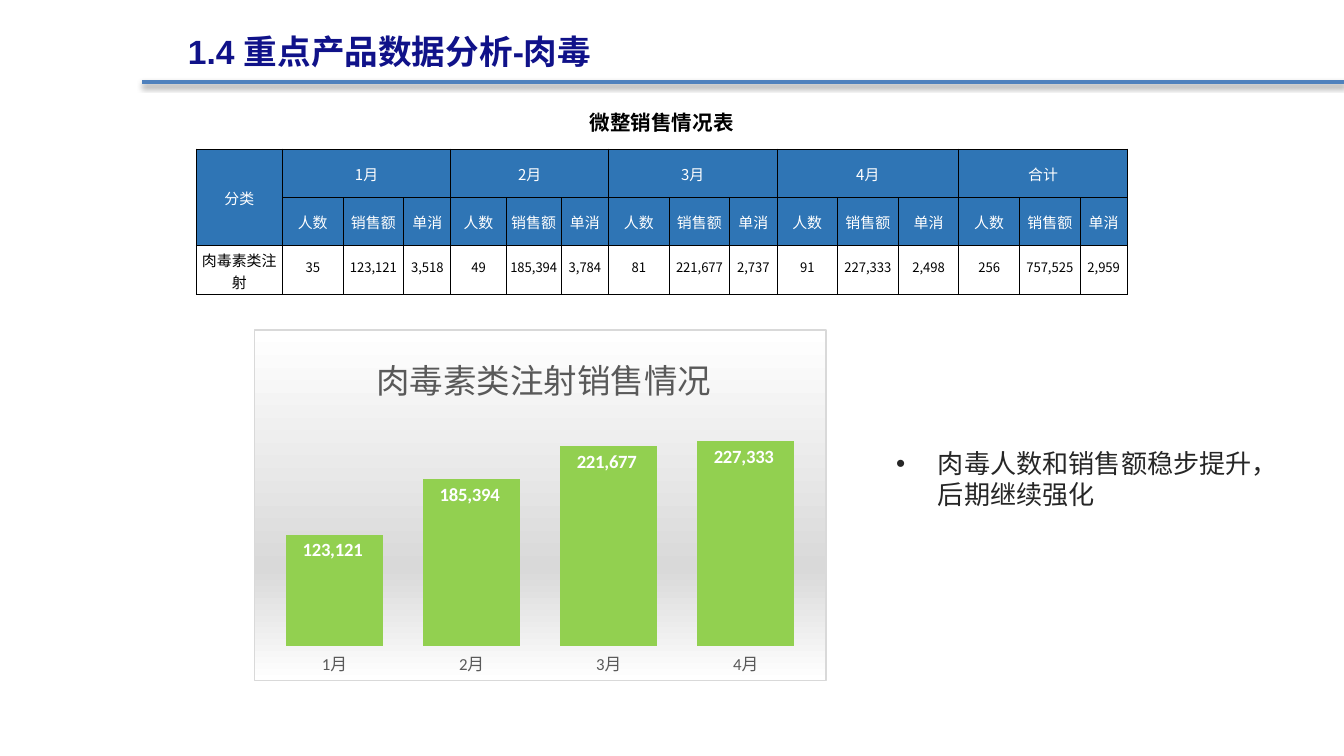
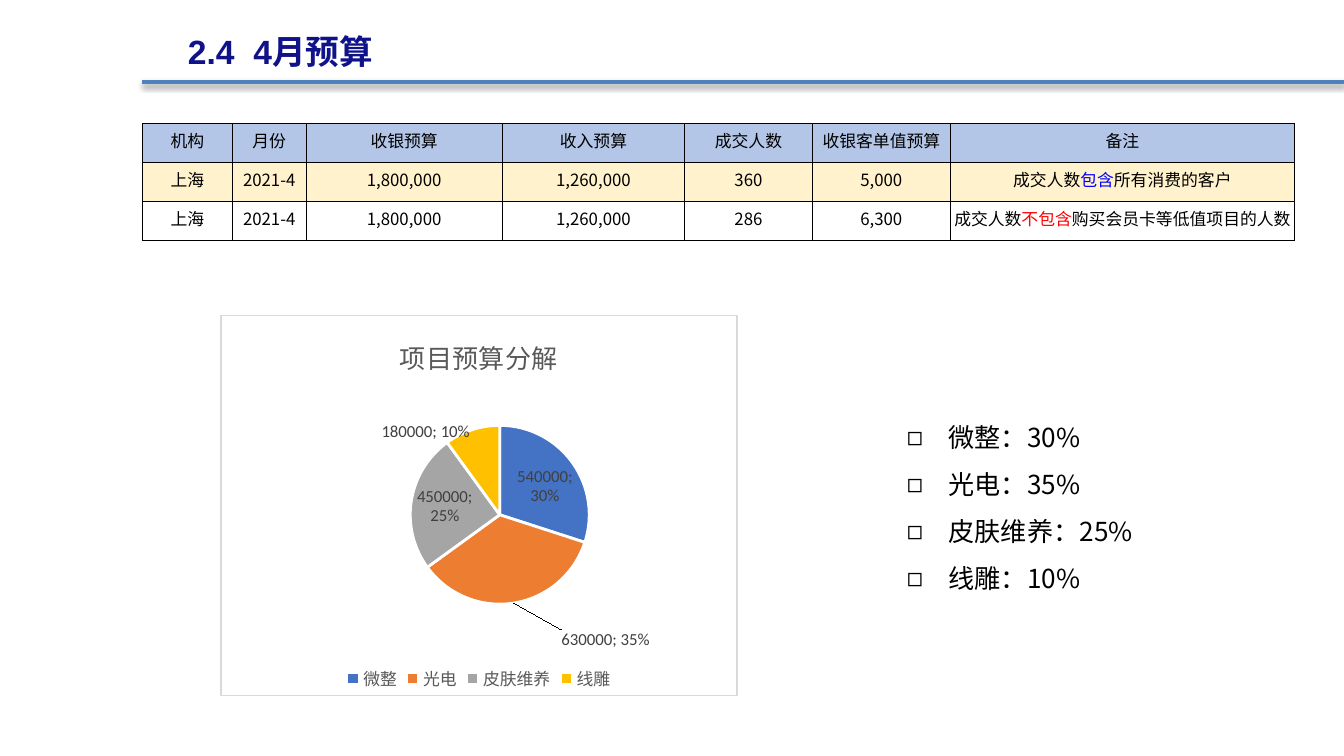
from copy import deepcopy
from dataclasses import dataclass

from lxml.etree import SubElement
from pptx import Presentation
from pptx.chart.data import CategoryChartData
from pptx.dml.color import RGBColor
from pptx.enum.chart import XL_CHART_TYPE as ChartType
from pptx.enum.chart import XL_LABEL_POSITION as LabelPosition
from pptx.enum.chart import XL_LEGEND_POSITION as LegendPosition
from pptx.enum.chart import XL_TICK_MARK as TickMark
from pptx.enum.shapes import MSO_CONNECTOR as Connector
from pptx.enum.text import MSO_ANCHOR as Anchor
from pptx.enum.text import MSO_AUTO_SIZE as AutoSize
from pptx.enum.text import PP_ALIGN as Align
from pptx.oxml import parse_xml
from pptx.oxml.ns import nsdecls, qn
from pptx.util import Inches, Pt


@dataclass(frozen=True)
class Theme:
    latin: str = "Arial"
    cjk: str = "Noto Sans CJK SC"
    chart: str = "Calibri"
    title: str = "101289"
    rule: str = "4F81BD"
    black: str = "000000"
    white: str = "FFFFFF"
    body: str = "262626"
    chart_text: str = "595959"
    label: str = "404040"
    frame: str = "D9D9D9"
    sales_header: str = "2F75B5"
    budget_header: str = "B4C6E7"
    budget_row: str = "FFF2CC"
    include: str = "0000FF"
    exclude: str = "FF0000"
    bar: str = "92D050"
    slices: tuple = ("4472C4", "ED7D31", "A5A5A5", "FFC000")
    title_size: int = 18
    body_size: int = 14
    caption_size: int = 11
    header_size: int = 8
    figure_size: int = 7
    budget_size: int = 9
    label_size: int = 10


THEME = Theme()
WIDTH = 10
HEIGHT = WIDTH * 9 / 16

# Content: sales of the first four months
SALES_TITLE = "1.4 重点产品数据分析-肉毒"
SALES_CAPTION = "微整销售情况表"
MEASURES = ["人数", "销售额", "单消"]
SALES = {
    "1月": (35, 123121, 3518),
    "2月": (49, 185394, 3784),
    "3月": (81, 221677, 2737),
    "4月": (91, 227333, 2498),
    "合计": (256, 757525, 2959),
}
PRODUCT = "肉毒素类注射"
SALES_COLUMNS = [0.64, 0.45, 0.45, 0.35, 0.41, 0.41, 0.35, 0.45, 0.45, 0.35,
                 0.45, 0.45, 0.45, 0.45, 0.45, 0.35]
SALES_ROWS = [0.42, 0.36, 0.36, 0.36]
SALES_CHART_TITLE = " 肉毒素类注射销售情况"
SALES_NOTES = ["肉毒人数和销售额稳步提升，后期继续强化"]

# Content: April budget
BUDGET_TITLE = "2.4  4月预算"
BUDGET_HEADER = ["机构", "月份", "收银预算", "收入预算", "成交人数", "收银客单值预算", "备注"]
BUDGET = [
    (["上海", "2021-4", "1,800,000", "1,260,000", "360", "5,000"],
     ["成交人数", "包含", "所有消费的客户"], THEME.include, THEME.budget_row),
    (["上海", "2021-4", "1,800,000", "1,260,000", "286", "6,300"],
     ["成交人数", "不包含", "购买会员卡等低值项目的人数"], THEME.exclude, THEME.white),
]
BUDGET_COLUMNS = [0.67, 0.55, 1.46, 1.36, 0.95, 1.03, 2.56]
BUDGET_ROWS = [0.29] * 3
BUDGET_CHART_TITLE = "项目预算分解"
BUDGET_TOTAL = 1800000
SHARES = {"微整": 30, "光电": 35, "皮肤维养": 25, "线雕": 10}
LABEL_SHIFTS = {1: (0.09, 0.05), 3: (0, 0.05)}


def box(left, top, width, height):
    return [Inches(value) for value in (left, top, width, height)]


def style_font(font, size, color, name, bold=False):
    font.size = Pt(size)
    font.bold = bold
    font.color.rgb = RGBColor.from_string(color)
    font.name = name


def add_run(paragraph, text, size, color, name=THEME.cjk, bold=False):
    run = paragraph.add_run()
    run.text = text
    style_font(run.font, size, color, name, bold)
    SubElement(run._r.get_or_add_rPr(), qn("a:ea")).set("typeface", THEME.cjk)


def add_textbox(slide, area):
    frame = slide.shapes.add_textbox(*box(*area)).text_frame
    frame.word_wrap = True
    frame.auto_size = AutoSize.SHAPE_TO_FIT_TEXT
    return frame


def add_title_band(slide, title):
    paragraph = add_textbox(slide, (1.3, 0.03, 7.35, 0.55)).paragraphs[0]
    paragraph.line_spacing = 1.5
    add_run(paragraph, title, THEME.title_size, THEME.title, THEME.latin, True)
    rule = slide.shapes.add_connector(
        Connector.STRAIGHT, Inches(1.06), Inches(0.61), Inches(WIDTH), Inches(0.61))
    rule.line.color.rgb = RGBColor.from_string(THEME.rule)
    rule.line.width = Pt(2)
    rule.element.spPr.append(parse_xml(
        f'<a:effectLst {nsdecls("a")}><a:outerShdw blurRad="{Pt(3.1)}" dist="{Pt(1.6)}" '
        f'dir="5400000" rotWithShape="0"><a:srgbClr val="{THEME.black}">'
        '<a:alpha val="38000"/></a:srgbClr></a:outerShdw></a:effectLst>'))


def add_bullets(slide, area, items, symbol, color, spacing):
    frame = add_textbox(slide, area)
    for index, item in enumerate(items):
        paragraph = frame.add_paragraph() if index else frame.paragraphs[0]
        paragraph.line_spacing = spacing
        add_run(paragraph, item, THEME.body_size, color)
        properties = paragraph._p.get_or_add_pPr()
        properties.set("marL", str(Inches(0.31)))
        properties.set("indent", str(-Inches(0.31)))
        SubElement(properties, qn("a:buFont")).set("typeface", THEME.latin)
        SubElement(properties, qn("a:buChar")).set("char", symbol)


# Tables
def add_grid(slide, left, top, width, columns, rows):
    table = slide.shapes.add_table(
        len(rows), len(columns), *box(left, top, width, sum(rows))).table
    table.first_row = table.horz_banding = False
    for column, share in zip(table.columns, columns):
        column.width = Inches(width * share / sum(columns))
    for row, height in zip(table.rows, rows):
        row.height = Inches(height)
    return table


def format_cell(cell, fill=None, sides="LRTB", bottom=0.05):
    cell.vertical_anchor = Anchor.MIDDLE
    cell.margin_left = cell.margin_right = cell.margin_top = Inches(0.01)
    cell.margin_bottom = Inches(bottom)
    cell.text_frame.paragraphs[0].alignment = Align.CENTER
    if fill:
        cell.fill.solid()
        cell.fill.fore_color.rgb = RGBColor.from_string(fill)
    else:
        cell.fill.background()
    properties = cell._tc.get_or_add_tcPr()
    for index, side in enumerate("LRTB"):
        paint = (f'<a:solidFill><a:srgbClr val="{THEME.black}"/></a:solidFill>'
                 if side in sides else "<a:noFill/>")
        properties.insert(index, parse_xml(
            f'<a:ln{side} {nsdecls("a")} w="{Pt(0.5)}">{paint}</a:ln{side}>'))


def write_cell(cell, text, size, color, name=THEME.cjk, bold=False):
    add_run(cell.text_frame.paragraphs[0], text, size, color, name, bold)


def add_sales_table(slide):
    table = add_grid(slide, 1.46, 0.69, 6.93, SALES_COLUMNS, SALES_ROWS)
    last = len(SALES_COLUMNS) - 1
    for column in range(last + 1):
        format_cell(table.cell(0, column), None, "B", 0)
        for row in (1, 2):
            format_cell(table.cell(row, column), THEME.sales_header, bottom=0)
        format_cell(table.cell(3, column), THEME.white, bottom=0.05 if column else 0)

    table.cell(0, 0).merge(table.cell(0, last))
    write_cell(table.cell(0, 0), SALES_CAPTION, THEME.caption_size, THEME.black, bold=True)
    table.cell(1, 0).merge(table.cell(2, 0))
    write_cell(table.cell(1, 0), "分类", THEME.header_size, THEME.white)
    write_cell(table.cell(3, 0), PRODUCT, THEME.header_size, THEME.black)

    for group, (month, figures) in enumerate(SALES.items()):
        start = 1 + group * len(MEASURES)
        table.cell(1, start).merge(table.cell(1, start + len(MEASURES) - 1))
        write_cell(table.cell(1, start), month, THEME.header_size, THEME.white)
        for column, (measure, figure) in enumerate(zip(MEASURES, figures), start):
            write_cell(table.cell(2, column), measure, THEME.header_size, THEME.white)
            write_cell(table.cell(3, column), f"{figure:,}", THEME.figure_size, THEME.black)


def add_budget_table(slide):
    table = add_grid(slide, 1.06, 0.92, 8.57, BUDGET_COLUMNS, BUDGET_ROWS)
    for column, heading in enumerate(BUDGET_HEADER):
        cell = table.cell(0, column)
        format_cell(cell, THEME.budget_header)
        write_cell(cell, heading, THEME.budget_size, THEME.black, THEME.latin)
    for row, (values, remark, accent, fill) in enumerate(BUDGET, 1):
        for column, value in enumerate(values):
            cell = table.cell(row, column)
            format_cell(cell, fill)
            write_cell(cell, value, THEME.budget_size, THEME.black,
                       THEME.cjk if column else THEME.latin)
        cell = table.cell(row, len(values))
        format_cell(cell, fill)
        for text, color in zip(remark, (THEME.black, accent, THEME.black)):
            write_cell(cell, text, THEME.budget_size, color)


# Charts
def add_framed_chart(slide, kind, area, title, title_size, values, fill, plot_area):
    data = CategoryChartData()
    data.categories = list(values)
    data.add_series("Series 1", list(values.values()))
    chart = slide.shapes.add_chart(kind, *box(*area), data).chart
    style_font(chart.font, THEME.budget_size, THEME.chart_text, THEME.chart)
    chart.has_legend = False
    chart.has_title = True
    paragraph = chart.chart_title.text_frame.paragraphs[0]
    add_run(paragraph, title, title_size, THEME.chart_text, THEME.chart)
    chart.chart_title.include_in_layout = False

    chart.element.find(qn("c:chart")).addnext(parse_xml(
        f'<c:spPr {nsdecls("c", "a")}>{fill}<a:ln w="{Pt(0.75)}"><a:solidFill>'
        f'<a:srgbClr val="{THEME.frame}"/></a:solidFill></a:ln></c:spPr>'))
    plot = next(chart.element.iter(qn("c:plotArea")))
    for layout in plot.findall(qn("c:layout")):
        plot.remove(layout)
    places = "".join(f'<c:{key} val="{share}"/>' for key, share in zip("xywh", plot_area))
    plot.insert(0, parse_xml(
        f'<c:layout {nsdecls("c")}><c:manualLayout><c:layoutTarget val="inner"/>'
        f'<c:xMode val="edge"/><c:yMode val="edge"/>{places}'
        '</c:manualLayout></c:layout>'))
    return chart


def add_sales_chart(slide):
    stops = "".join(
        f'<a:gs pos="{share * 1000}"><a:srgbClr val="{color}"/></a:gs>'
        for share, color in ((0, THEME.white), (68, THEME.frame), (100, THEME.white)))
    fill = f'<a:gradFill><a:gsLst>{stops}</a:gsLst><a:lin ang="5400000" scaled="0"/></a:gradFill>'
    values = {month: figures[1] for month, figures in SALES.items() if month != "合计"}
    chart = add_framed_chart(slide, ChartType.COLUMN_CLUSTERED, (1.89, 2.45, 4.26, 2.62),
                             SALES_CHART_TITLE, THEME.title_size, values, fill,
                             (0.02, 0.26, 0.96, 0.64))
    months, amounts = chart.category_axis, chart.value_axis
    months.major_tick_mark = TickMark.NONE
    months.format.line.fill.background()
    amounts.minimum_scale, amounts.maximum_scale = 0, 250000
    amounts.has_major_gridlines = False
    amounts.visible = False
    plot = chart.plots[0]
    plot.gap_width = 41
    plot.vary_by_categories = False
    bars = plot.series[0].format.fill
    bars.solid()
    bars.fore_color.rgb = RGBColor.from_string(THEME.bar)
    labels = plot.series[0].data_labels
    labels.show_value = True
    labels.position = LabelPosition.INSIDE_END
    labels.number_format, labels.number_format_is_linked = "#,##0_ ", False
    style_font(labels.font, THEME.label_size, THEME.white, THEME.chart, True)


def shift_label(group, index, shift):
    parts = [deepcopy(part) for part in group
             if part.tag not in (qn("c:dLbl"), qn("c:showLeaderLines"))]
    places = "".join(f'<c:{key} val="{share}"/>' for key, share in zip("xy", shift))
    label = parse_xml(
        f'<c:dLbl {nsdecls("c")}><c:idx val="{index}"/><c:layout><c:manualLayout>'
        f'{places}</c:manualLayout></c:layout></c:dLbl>')
    label.extend(parts)
    group.insert(len(group.findall(qn("c:dLbl"))), label)


def add_budget_chart(slide):
    fill = f'<a:solidFill><a:srgbClr val="{THEME.white}"/></a:solidFill>'
    values = {item: BUDGET_TOTAL * share // 100 for item, share in SHARES.items()}
    chart = add_framed_chart(slide, ChartType.PIE, (1.64, 2.34, 3.85, 2.84),
                             BUDGET_CHART_TITLE, THEME.body_size, values, fill,
                             (0.36, 0.29, 0.36, 0.47))
    chart.has_legend = True
    chart.legend.position = LegendPosition.BOTTOM
    chart.legend.include_in_layout = False
    style_font(chart.legend.font, THEME.budget_size, THEME.chart_text, THEME.chart)
    plot = chart.plots[0]
    plot.vary_by_categories = True
    series = plot.series[0]
    for index, color in enumerate(THEME.slices):
        look = series.points[index].format
        look.fill.solid()
        look.fill.fore_color.rgb = RGBColor.from_string(color)
        look.line.color.rgb = RGBColor.from_string(THEME.white)
        look.line.width = Pt(1.5)
    labels = series.data_labels
    labels.show_value = labels.show_percentage = True
    labels.position = LabelPosition.BEST_FIT
    style_font(labels.font, THEME.budget_size, THEME.label, THEME.chart)
    group = next(chart.element.iter(qn("c:dLbls")))
    group.find(qn("c:showBubbleSize")).addnext(
        parse_xml(f'<c:separator {nsdecls("c")}>; </c:separator>'))
    for index, shift in LABEL_SHIFTS.items():
        shift_label(group, index, shift)


def main():
    presentation = Presentation()
    presentation.slide_width, presentation.slide_height = Inches(WIDTH), Inches(HEIGHT)
    blank = presentation.slide_layouts[6]

    sales = presentation.slides.add_slide(blank)
    add_title_band(sales, SALES_TITLE)
    add_sales_table(sales)
    add_bullets(sales, (6.57, 3.28, 3.23, 0.57), SALES_NOTES, "•", THEME.body, 1.0)
    add_sales_chart(sales)

    budget = presentation.slides.add_slide(blank)
    add_title_band(budget, BUDGET_TITLE)
    shares = [f"{item}：{share}%" for item, share in SHARES.items()]
    add_bullets(budget, (6.65, 2.97, 2.42, 1.82), shares, "◻", THEME.black, 1.5)
    add_budget_table(budget)
    add_budget_chart(budget)

    presentation.save("out.pptx")


if __name__ == "__main__":
    main()
